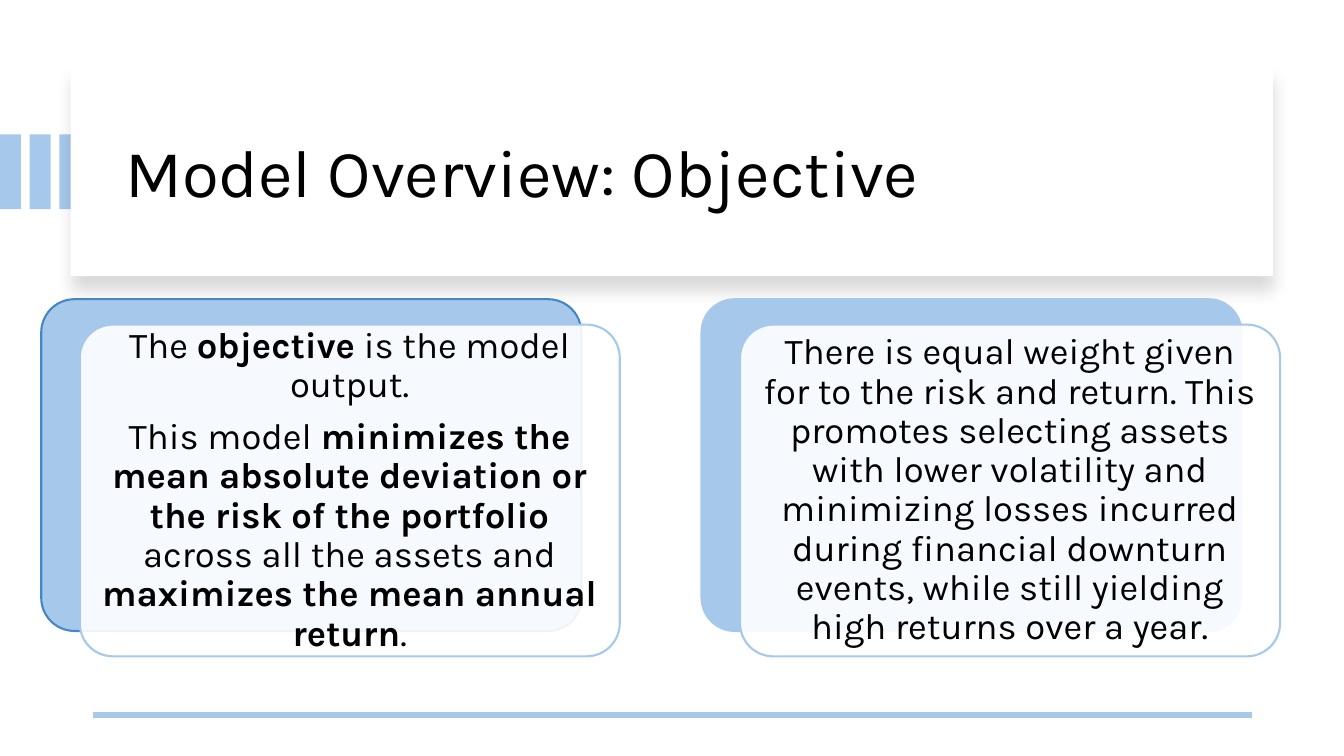
from lxml import etree
from pptx import Presentation
from pptx import util as u
from pptx.dml.color import RGBColor
from pptx.enum import shapes, text
from pptx.oxml.ns import qn

# Content: each card is a list of paragraphs, each paragraph a list of (text, bold)
TITLE = "Model Overview: Objective"
CARDS = [
    [
        [("The ", False), ("objective", True), (" is the model output.", False)],
        [
            ("This model ", False),
            ("minimizes the mean absolute deviation or the risk of the portfolio ", True),
            ("across all the assets and ", False),
            ("maximizes the mean annual return", True),
            (".", False),
        ],
    ],
    [
        [("There is equal weight given for to the risk and return. This promotes "
          "selecting assets with lower volatility and minimizing losses incurred "
          "during financial downturn events, while still yielding high returns "
          "over a year.", False)],
    ],
]

FONT = "Karla"
BLACK = RGBColor(0x00, 0x00, 0x00)
WHITE = RGBColor(0xFF, 0xFF, 0xFF)
SKY = RGBColor(0xA6, 0xC9, 0xEB)
BLUE = RGBColor(0x46, 0x86, 0xC4)
BACK_LINES = [BLUE, SKY]

# Layout in centimetres
STRIPE_COUNT, STRIPE_STEP = 3, 0.75
CARD_LEFT, CARD_TOP, CARD_STEP = 1.04, 7.54, 16.64
CARD_WIDTH, CARD_HEIGHT = 13.61, 8.36
SHIFT_X, SHIFT_Y = 0.97, 0.64


def add_box(slide, kind, left, top, width, height, fill, line=None):
    box = slide.shapes.add_shape(kind, u.Cm(left), u.Cm(top), u.Cm(width), u.Cm(height))
    box.shadow.inherit = False
    box.fill.solid()
    box.fill.fore_color.rgb = fill
    if line is None:
        box.line.fill.background()
    else:
        box.line.color.rgb = line
        box.line.width = u.Pt(1.5)
    return box


def add_alpha(color, percent):
    etree.SubElement(color, qn("a:alpha"), val=str(percent * 1000))


def add_drop_shadow(box):
    effects = box._element.spPr.find(qn("a:effectLst"))
    shadow = etree.SubElement(
        effects, qn("a:outerShdw"), blurRad=str(u.Pt(11)), dist=str(u.Pt(10)),
        dir="5400000", algn="t", rotWithShape="0")
    add_alpha(etree.SubElement(shadow, qn("a:srgbClr"), val="000000"), 15)


def format_run(span, size, bold=False):
    span.font.name = FONT
    span.font.size = u.Pt(size)
    span.font.bold = bold
    span.font.color.rgb = BLACK


def add_card(slide, left, paragraphs, back_line):
    rounded = shapes.MSO_SHAPE.ROUNDED_RECTANGLE
    back = add_box(slide, rounded, left, CARD_TOP, CARD_WIDTH, CARD_HEIGHT, SKY, back_line)
    front = add_box(slide, rounded, left + SHIFT_X, CARD_TOP + SHIFT_Y,
                    CARD_WIDTH, CARD_HEIGHT, WHITE, SKY)
    for box in (back, front):
        box.adjustments[0] = 0.1
    add_alpha(front._element.spPr.find(qn("a:solidFill"))[0], 90)

    frame = front.text_frame
    frame.word_wrap = True
    frame.vertical_anchor = text.MSO_ANCHOR.MIDDLE
    frame.margin_left = frame.margin_right = u.Cm(0.25)
    frame.margin_top = frame.margin_bottom = u.Cm(0.25)
    for index, spans in enumerate(paragraphs):
        para = frame.add_paragraph() if index else frame.paragraphs[0]
        para.alignment = text.PP_ALIGN.CENTER
        para.line_spacing = 0.9
        para.space_after = u.Pt(9)
        for words, bold in spans:
            span = para.add_run()
            span.text = words
            format_run(span, 26, bold)


def main():
    deck = Presentation()
    deck.slide_width, deck.slide_height = u.Cm(33.87), u.Cm(19.05)
    slide = deck.slides.add_slide(deck.slide_layouts[5])

    # Stripes at the left edge and the raised title panel
    rectangle = shapes.MSO_SHAPE.RECTANGLE
    for index in range(STRIPE_COUNT):
        add_box(slide, rectangle, index * STRIPE_STEP, 3.39, 0.53, 1.88, SKY)
    panel = add_box(slide, rectangle, 1.78, 1.7, 30.3, 5.26, WHITE)
    add_drop_shadow(panel)

    # Title, brought in front of its panel
    title = slide.shapes.title
    panel._element.addnext(title._element)
    title.left, title.top = u.Cm(2.9), u.Cm(2.26)
    title.width, title.height = u.Cm(28.27), u.Cm(4.32)
    title.text_frame.text = TITLE
    title.text_frame.word_wrap = True
    title.text_frame.vertical_anchor = text.MSO_ANCHOR.MIDDLE
    para = title.text_frame.paragraphs[0]
    para.alignment = text.PP_ALIGN.LEFT
    para.line_spacing = 0.9
    format_run(para.runs[0], 48)

    # Bottom rule
    rule = slide.shapes.add_connector(
        shapes.MSO_CONNECTOR.STRAIGHT, u.Cm(31.55), u.Cm(18.01), u.Cm(2.34), u.Cm(18.01))
    rule.line.color.rgb = SKY
    rule.line.width = u.Pt(4.5)
    etree.SubElement(rule._element.spPr, qn("a:effectLst"))

    # Cards
    for index, (paragraphs, back_line) in enumerate(zip(CARDS, BACK_LINES)):
        add_card(slide, CARD_LEFT + index * CARD_STEP, paragraphs, back_line)

    deck.save("out.pptx")


if __name__ == "__main__":
    main()
